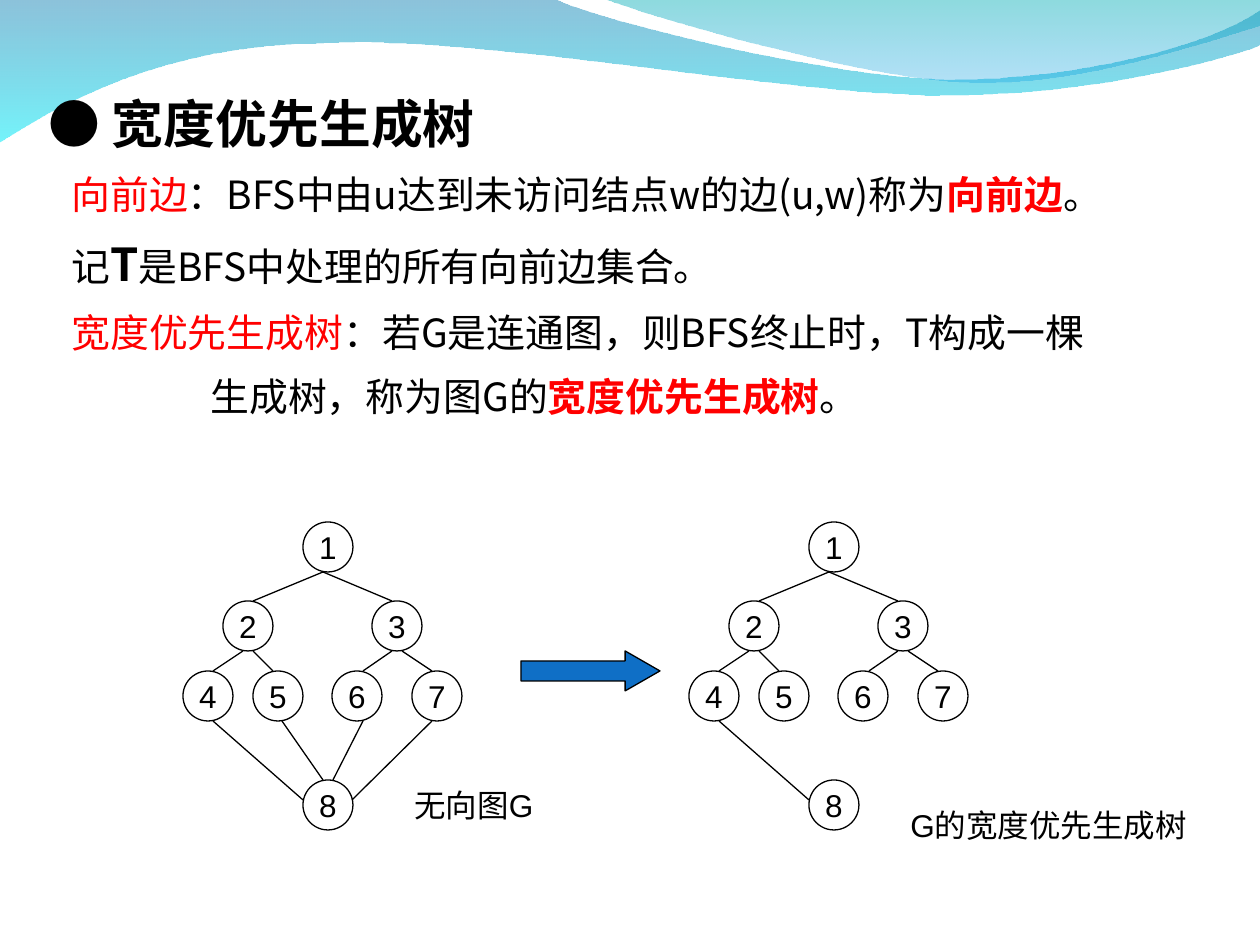
from lxml import etree
from pptx import Presentation
from pptx.dml.color import RGBColor
from pptx.enum.shapes import MSO_CONNECTOR, MSO_SHAPE
from pptx.enum.text import MSO_ANCHOR, PP_ALIGN
from pptx.oxml.ns import qn
from pptx.util import Emu, Pt

OVAL, ARROW = MSO_SHAPE.OVAL, MSO_SHAPE.RIGHT_ARROW
STRAIGHT = MSO_CONNECTOR.STRAIGHT
MIDDLE, CENTER = MSO_ANCHOR.MIDDLE, PP_ALIGN.CENTER

SCALE = 914400 / 126
COLORS = {
    "black": "000000", "red": "FF0000", "arrow": "0F6FC6",
    "deep": "0079AF", "cyan": "00EBF8", "teal": "00ADB6", "sky": "009BE5",
}
CJK, LATIN = "Noto Sans CJK SC", "Arial"


def px(value):
    return Emu(round(value * SCALE))


def color(name):
    return RGBColor.from_string(COLORS[name])


class SlideBuilder:
    def __init__(self, slide):
        self.slide = slide
        self.canvas = slide.shapes
        self.line_width = Pt(0.75)

    def group(self):
        self.canvas = self.slide.shapes.add_group_shape().shapes

    def end_group(self):
        self.canvas = self.slide.shapes

    def outline(self, item):
        item.line.color.rgb = color("black")
        item.line.width = self.line_width

    def run(self, paragraph, text, font, size, tint="black", bold=False):
        run = paragraph.add_run()
        run.text = text
        for name, value in {"name": font, "size": Pt(size), "bold": bold}.items():
            setattr(run.font, name, value)
        run.font.color.rgb = color(tint)
        east_asian = etree.SubElement(run.font._element, qn("a:ea"))
        east_asian.set("typeface", CJK)

    def wave(self, start, segments, stops):
        """Outline of lines (one point) and Bezier curves (three points)."""
        builder = self.canvas.build_freeform(px(start[0]), px(start[1]))
        builder.add_line_segments(
            [(px(x), px(y)) for segment in segments for x, y in segment])
        wave = builder.convert_to_shape()
        # Join the three steps of each curve into one Bezier command
        steps = iter(list(wave._element.iter(qn("a:lnTo"))))
        for segment in segments:
            first, *others = [next(steps) for _ in segment]
            if others:
                first.tag = qn("a:cubicBezTo")
            for step in others:
                first.append(step[0])
                step.getparent().remove(step)
        wave.shadow.inherit = False
        wave.line.fill.background()
        wave.fill.gradient()
        wave.fill.gradient_angle = 270
        for stop, (tint, opacity) in zip(wave.fill.gradient_stops, stops):
            stop.color.rgb = color(tint)
            for element in stop._gs.iter(qn("a:srgbClr")):
                etree.SubElement(element, qn("a:alpha")).set("val", str(opacity * 1000))

    def text(self, left, top, width, height):
        frame = self.canvas.add_textbox(*map(px, (left, top, width, height))).text_frame
        frame.word_wrap = True
        return frame

    def paragraphs(self, box, lines):
        frame = self.text(*box)
        for i, (indent, runs) in enumerate(lines):
            paragraph = frame.add_paragraph() if i else frame.paragraphs[0]
            paragraph._p.get_or_add_pPr().set("marL", str(px(indent)))
            paragraph.line_spacing = 1.15
            if i:
                paragraph.space_before = Pt(6)
            for content, size, tint, bold in runs:
                self.run(paragraph, content, CJK, size, tint, bold)

    def caption(self, left, top, width, content):
        self.run(self.text(left, top, width, 50).paragraphs[0], content, LATIN, 18)

    def node(self, x, y, label, size=50):
        node = self.canvas.add_shape(
            OVAL, *map(px, (x - size / 2, y - size / 2, size, size)))
        node.shadow.inherit = False
        node.fill.background()
        self.outline(node)
        frame = node.text_frame
        for name, value in {"word_wrap": False, "vertical_anchor": MIDDLE}.items():
            setattr(frame, name, value)
        frame.paragraphs[0].alignment = CENTER
        self.run(frame.paragraphs[0], label, LATIN, 18)

    def edge(self, x1, y1, x2, y2):
        edge = self.canvas.add_connector(STRAIGHT, *map(px, (x1, y1, x2, y2)))
        self.outline(edge)
        etree.SubElement(edge._element.spPr, qn("a:effectLst"))

    def arrow(self, left, top, width, height):
        arrow = self.canvas.add_shape(ARROW, *map(px, (left, top, width, height)))
        arrow.adjustments[1] = 0.87
        arrow.shadow.inherit = False
        arrow.fill.solid()
        arrow.fill.fore_color.rgb = color("arrow")
        self.outline(arrow)


NODES = [(328, 547), (248, 626), (397, 626), (208, 696),
         (278, 696), (357, 696), (437, 696), (328, 805)]
TREE_EDGES = [(323, 572, 253, 601), (323, 572, 392, 601),
              (243, 651, 213, 671), (253, 651, 273, 671),
              (392, 651, 363, 671), (402, 651, 432, 671),
              (213, 721, 303, 800)]
OTHER_EDGES = [(282, 721, 323, 780), (363, 721, 333, 780), (432, 721, 352, 800)]
# Horizontal shift, edges, caption left, top, width and words
GRAPHS = [
    (0, TREE_EDGES + OTHER_EDGES, (402, 780, 169, "无向图G")),
    (506, TREE_EDGES, (898, 800, 318, "G的宽度优先生成树")),
]


def main():
    presentation = Presentation()
    presentation.slide_width, presentation.slide_height = px(1260), px(945)
    builder = SlideBuilder(
        presentation.slides.add_slide(presentation.slide_layouts[6]))

    # Waves along the top
    builder.wave((0, -1), [
        [(554, -1)],
        [(600, 21), (837, 79), (955, 79)],
        [(1075, 79), (1207, 47), (1260, 11)],
        [(1261, 45)],
        [(1239, 55), (1096, 96), (940, 95)],
        [(784, 95), (481, 35), (324, 43)],
        [(163, 44), (58, 105), (-1, 142)],
        [(0, -1)],
    ], [("deep", 45), ("cyan", 55)])
    builder.wave((604, -1), [
        [(641, 14), (859, 78), (969, 82)],
        [(1079, 87), (1211, 40), (1260, 26)],
        [(1260, 0)],
        [(604, -1)],
    ], [("teal", 45), ("sky", 30)])

    # Title and definitions
    def plain(content):
        return content, 22.2, "black", False

    def red(content, bold=False):
        return content, 22.2, "red", bold

    builder.paragraphs((25, 76, 1217, 456), [
        (11, [("● ", 29.6, "black", False), ("宽度优先生成树", 29.6, "black", True)]),
        (34, [red("向前边"), plain("：BFS中由u达到未访问结点w的边(u,w)称为"),
              red("向前边", True), plain("。")]),
        (34, [plain("记"), ("T", 25.9, "black", True),
              plain("是BFS中处理的所有向前边集合。")]),
        (34, [red("宽度优先生成树"),
              plain("：若G是连通图，则BFS终止时，T构成一棵")]),
        (173, [plain("生成树，称为图G的"), red("宽度优先生成树", True), plain("。")]),
    ])

    # Graph and its spanning tree
    for shift, edges, caption in GRAPHS:
        builder.group()
        for number, (x, y) in enumerate(NODES, 1):
            builder.node(x + shift, y, str(number))
        for x1, y1, x2, y2 in edges:
            builder.edge(x1 + shift, y1, x2 + shift, y2)
        builder.caption(*caption)
        builder.end_group()

    # Arrow from graph to tree
    builder.arrow(521, 651, 139, 40)

    presentation.save("out.pptx")


if __name__ == "__main__":
    main()
